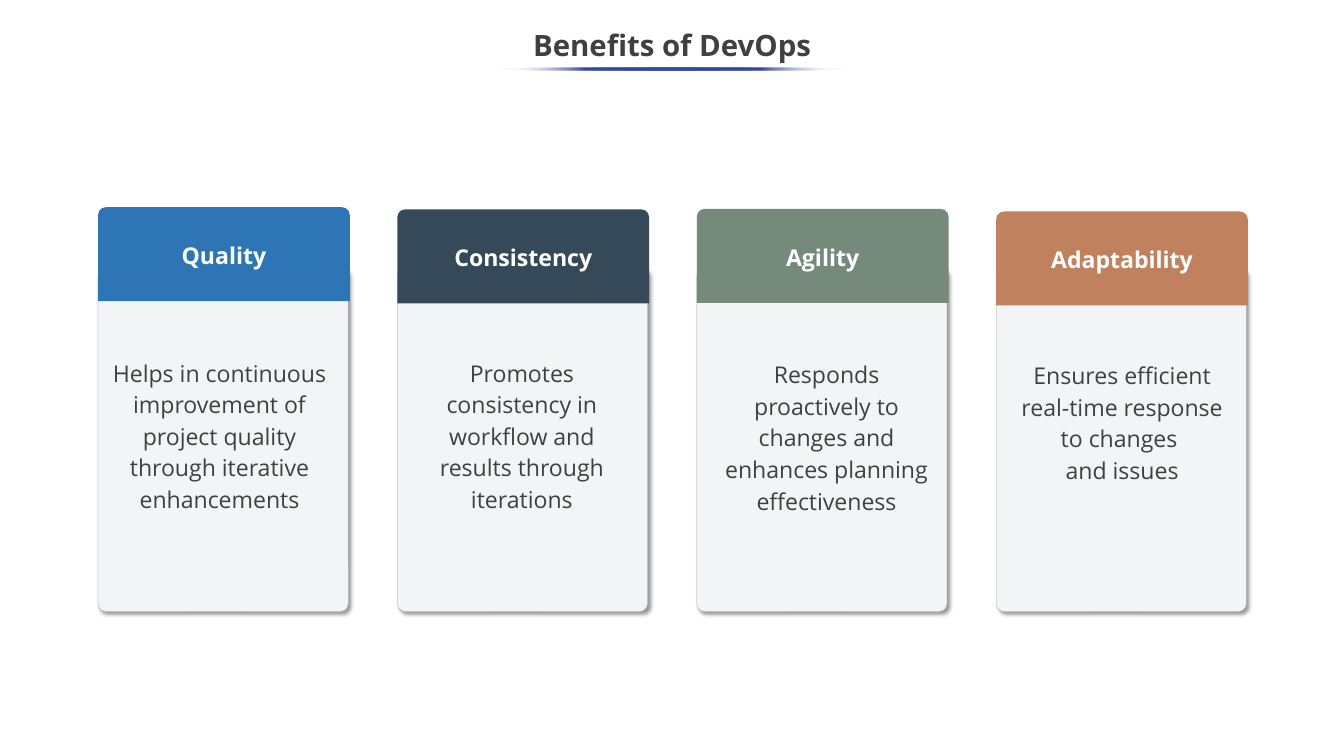
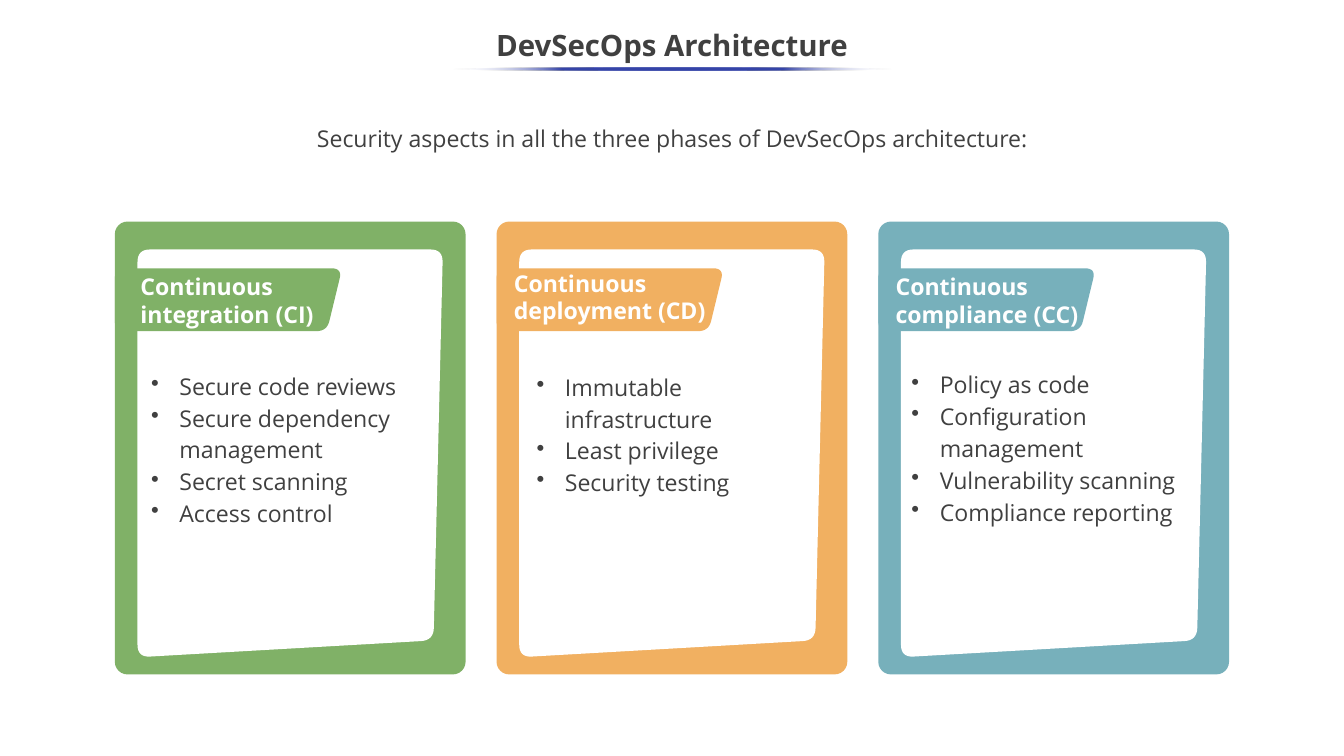
from math import dist

from lxml import etree
from pptx import Presentation
from pptx.dml.color import RGBColor
from pptx.enum.shapes import MSO_SHAPE
from pptx.enum.text import MSO_ANCHOR, MSO_AUTO_SIZE, PP_ALIGN
from pptx.oxml.ns import qn
from pptx.util import Pt

LEFT, CENTER = PP_ALIGN.LEFT, PP_ALIGN.CENTER
TOP, MIDDLE = MSO_ANCHOR.TOP, MSO_ANCHOR.MIDDLE
FIXED, GROW = MSO_AUTO_SIZE.NONE, MSO_AUTO_SIZE.SHAPE_TO_FIT_TEXT
ROUNDED, ROUNDED_TOP = MSO_SHAPE.ROUNDED_RECTANGLE, MSO_SHAPE.ROUND_2_SAME_RECTANGLE
OVAL = MSO_SHAPE.OVAL
FONT = "Open Sans"
INK, WHITE, RULE_BLUE = "404040", "FFFFFF", "3645A9"
SLIDE_WIDTH, SLIDE_HEIGHT = 1280.16, 720


def paint(shape, fill, line=None):
    """Give a shape a plain fill, an optional hairline and no shadow."""
    shape.shadow.inherit = False
    shape.fill.solid()
    shape.fill.fore_color.rgb = RGBColor.from_string(fill)
    if line:
        shape.line.color.rgb = RGBColor.from_string(line)
        shape.line.width = Pt(0.25)
    else:
        shape.line.fill.background()


def write(box, text, size=22, color=INK, bold=False, align=LEFT, anchor=TOP,
          margins=(7.2, 3.6), spacing=None, indent=0, bullet=None, fit=FIXED):
    """Fill a shape with text; each line of the text is one paragraph."""
    frame = box.text_frame
    frame.word_wrap = True
    frame.auto_size = fit
    frame.vertical_anchor = anchor
    frame.margin_left = frame.margin_right = Pt(margins[0])
    frame.margin_top = frame.margin_bottom = Pt(margins[1])
    for number, line in enumerate(text.split("\n")):
        paragraph = frame.add_paragraph() if number else frame.paragraphs[0]
        paragraph.text = line
        paragraph.alignment = align
        if spacing:
            paragraph.line_spacing = spacing
        properties = paragraph._p.get_or_add_pPr()
        if indent:
            properties.set("marL", str(Pt(indent)))
        if bullet:
            properties.set("indent", str(-Pt(indent)))
            etree.SubElement(properties, qn("a:buChar"), char=bullet)
        for span in paragraph.runs:
            span.font.name = FONT
            span.font.size = Pt(size)
            span.font.bold = bold
            span.font.color.rgb = RGBColor.from_string(color)


deck = Presentation()
deck.slide_width, deck.slide_height = Pt(SLIDE_WIDTH), Pt(SLIDE_HEIGHT)

# Titles, each over a rule that fades out at both ends
pages = []
for title, rule_width in [("Benefits of DevOps", 331.2), ("DevSecOps Architecture", 419)]:
    page = deck.slides.add_slide(deck.slide_layouts[5])
    pages.append(page)
    heading = page.shapes.title
    heading.left, heading.top = Pt(-0.7), Pt(18)
    heading.width, heading.height = Pt(1281.6), Pt(54)
    write(heading, title, size=28, bold=True, align=CENTER, anchor=MIDDLE, spacing=0.9)

    rule = page.shapes.add_shape(OVAL, Pt((SLIDE_WIDTH - rule_width) / 2 + 0.7), Pt(64.3),
                                 Pt(rule_width), Pt(2.9))
    paint(rule, RULE_BLUE)
    rule.fill.gradient()
    rule.fill.gradient_angle = 0
    stops = rule._element.spPr.find(".//" + qn("a:gsLst"))
    for stop in list(stops):
        stops.remove(stop)
    for percent in (0, 25, 50, 75, 100):
        at_end = percent in (0, 100)
        stop = etree.SubElement(stops, qn("a:gs"), pos=str(percent * 1000))
        tint = etree.SubElement(stop, qn("a:srgbClr"), val=WHITE if at_end else RULE_BLUE)
        if at_end:
            etree.SubElement(tint, qn("a:alpha"), val="0")

benefits_page, architecture_page = pages

# Benefit cards: name, colour, header top, text box (left, top, width, height), indent, text
benefits = [
    ("Quality", "2E75B6", 197.3, (95, 334.8, 228.2, 157.7), 0,
     "Helps in continuous improvement of project quality through iterative enhancements"),
    ("Consistency", "364959", 199.4, (354.2, 334.8, 249.8, 157.7), 36,
     "Promotes consistency in workflow and results through iterations"),
    ("Agility", "758A7A", 198.9, (673.2, 336.2, 228.2, 157.7), 0,
     "Responds proactively to changes and enhances planning effectiveness"),
    ("Adaptability", "BF815E", 201.4, (954.7, 337, 228.2, 126.7), 0,
     "Ensures efficient real-time response to changes \vand issues"),
]
for column, (name, color, header_top, place, indent, text) in enumerate(benefits):
    left = 93.4 + 285.15 * column
    card = benefits_page.shapes.add_shape(ROUNDED, Pt(left), Pt(254.9), Pt(238.3), Pt(327.6))
    card.adjustments[0] = 0.032
    paint(card, "F3F4F5", line="A6A6A6")
    effects = card._element.spPr.find(qn("a:effectLst"))
    shadow = etree.SubElement(effects, qn("a:outerShdw"), blurRad=str(Pt(4)), dist=str(Pt(3)),
                              dir=str(45 * 60000), algn="tl", rotWithShape="0")
    shade = etree.SubElement(shadow, qn("a:srgbClr"), val="000000")
    etree.SubElement(shade, qn("a:alpha"), val="40000")

    header = benefits_page.shapes.add_shape(ROUNDED_TOP, Pt(left), Pt(header_top),
                                            Pt(239.8), Pt(89.5))
    header.adjustments[0] = 0.084
    paint(header, color)
    write(header, name, color="FEFFFF", bold=True, align=CENTER, anchor=MIDDLE, margins=(3, 3))

    box = benefits_page.shapes.add_textbox(*map(Pt, place))
    write(box, text, align=CENTER, spacing=1.14, indent=indent, fit=GROW)

# Architecture phases
intro = architecture_page.shapes.add_textbox(Pt(155.5), Pt(115.2), Pt(969.8), Pt(70))
write(intro, "Security aspects in all the three phases of DevSecOps architecture:", align=CENTER)

# Name, colour, tab width, label place, list place, points
phases = [
    ("Continuous integration (CI)", "80B167", 216.5,
     (126.7, 256.3, 184.3, 60.5), (136.8, 347, 273.6, 158.4),
     ["Secure code reviews", "Secure dependency management", "Secret scanning",
      "Access control"]),
    ("Continuous deployment (CD)", "F1B061", 216.5,
     (482.4, 252.7, 202.3, 60.5), (504, 347.8, 254.9, 128.2),
     ["Immutable infrastructure", "Least privilege", "Security testing"]),
    ("Continuous compliance (CC)", "77B0BB", 207.1,
     (846, 256.3, 203, 60.5), (861.1, 345.6, 284.4, 158.4),
     ["Policy as code", "Configuration management", "Vulnerability scanning",
      "Compliance reporting"]),
]
CURVE_STEPS = 8
for column, (name, color, tab_width, label_place, list_place, points) in enumerate(phases):
    left, top = 109.4 + 363.6 * column, 211
    frame = architecture_page.shapes.add_shape(ROUNDED, Pt(left), Pt(top), Pt(334.1), Pt(431.3))
    frame.adjustments[0] = 0.036
    paint(frame, color)

    panel_corners = [(21.6, 26.6), (312.5, 26.6), (303.6, 398.9), (21.6, 415)]
    tab_corners = [(0, 44.6), (tab_width, 44.6), (tab_width - 14.5, 104.4), (0, 104.4)]
    for corners, radius, fill in [(panel_corners, 12, WHITE), (tab_corners, 10, color)]:
        outline = []
        for number, corner in enumerate(corners):
            before, after = corners[number - 1], corners[(number + 1) % len(corners)]
            start, end = [
                [c + (n - c) * radius / dist(corner, neighbour) for c, n in zip(corner, neighbour)]
                for neighbour in (before, after)
            ]
            for step in range(CURVE_STEPS + 1):
                t = step / CURVE_STEPS
                x, y = [(1 - t) ** 2 * s + 2 * t * (1 - t) * c + t ** 2 * e
                        for s, c, e in zip(start, corner, end)]
                outline.append((Pt(left + x), Pt(top + y)))
        builder = architecture_page.shapes.build_freeform(*outline[0])
        builder.add_line_segments(outline[1:], close=True)
        paint(builder.convert_to_shape(), fill)

    label = architecture_page.shapes.add_textbox(*map(Pt, label_place))
    write(label, name, color=WHITE, bold=True, fit=GROW)
    box = architecture_page.shapes.add_textbox(*map(Pt, list_place))
    write(box, "\n".join(points), spacing=1.15, indent=27, bullet="•", fit=GROW)

deck.save("out.pptx")
